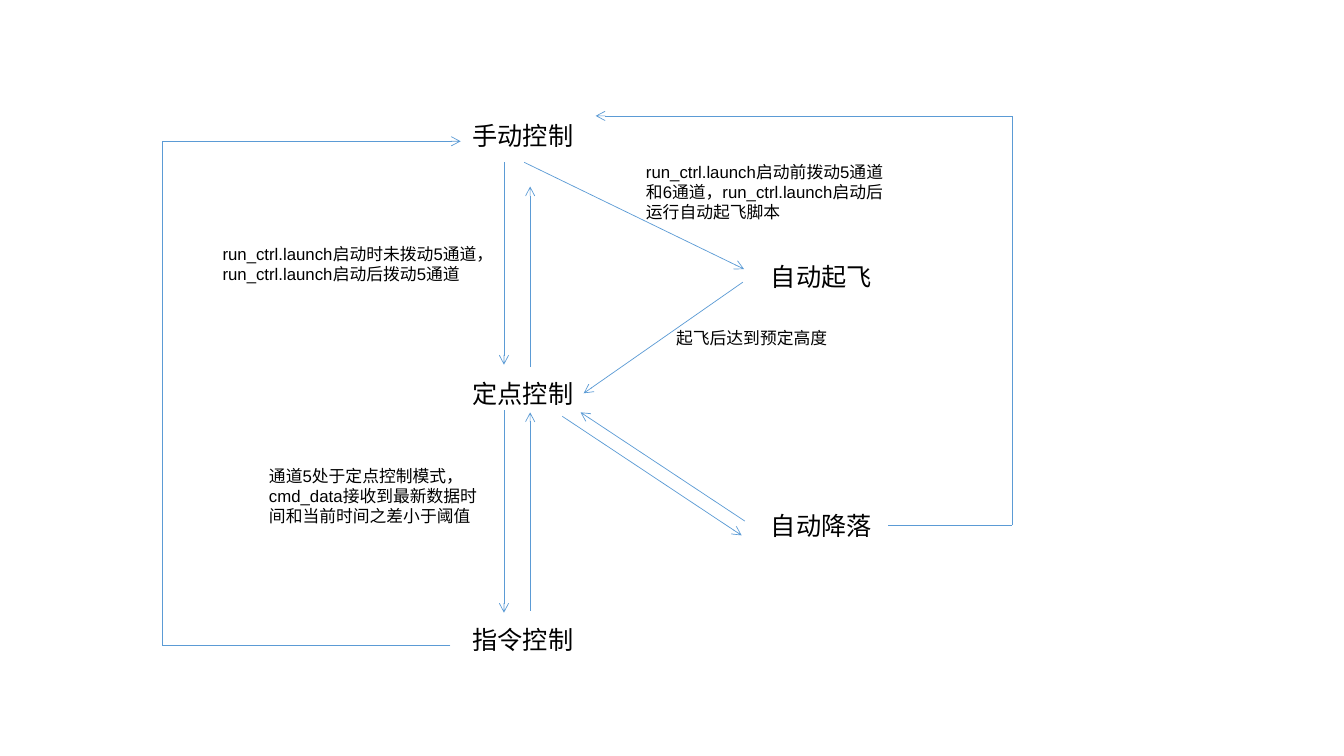
from itertools import pairwise

from lxml.etree import SubElement
from pptx import Presentation
from pptx.dml.color import RGBColor
from pptx.enum.shapes import MSO_CONNECTOR as CONN
from pptx.enum.text import MSO_AUTO_SIZE as AUTO
from pptx.oxml.ns import qn
from pptx.util import Cm, Pt

COLORS = {"text": "000000", "line": "5B9BD5"}
FONT = "Arial"


class Diagram:
    """Holds the style and the current slide."""

    def __init__(self, slide):
        self.s = slide

    def text(self, x, y, w, h, text, size):
        sp = self.s.shapes.add_textbox(Cm(x), Cm(y), Cm(w), Cm(h))
        tf = sp.text_frame
        tf.word_wrap = True
        tf.auto_size = AUTO.SHAPE_TO_FIT_TEXT
        tf.text = text
        font = tf.paragraphs[0].font
        font.name, font.size = FONT, Pt(size)
        font.color.rgb = RGBColor.from_string(COLORS["text"])

    def state(self, x, y, name):
        self.text(x, y, 3.43, 1.02, name, 18)

    def note(self, x, y, w, h, text):
        self.text(x, y, w, h, text, 12)

    def line(self, start, end, arrow=True):
        x1, y1, x2, y2 = (Cm(v) for v in (*start, *end))
        c = self.s.shapes.add_connector(CONN.STRAIGHT, x1, y1, x2, y2)
        c.line.color.rgb = RGBColor.from_string(COLORS["line"])
        c.line.width = Pt(0.5)
        if arrow:
            SubElement(c.line._get_or_add_ln(), qn("a:tailEnd"), type="arrow")
        SubElement(c._element.spPr, qn("a:effectLst"))

    def route(self, *points):
        """Chain of straight lines with an arrowhead on the last one."""
        for start, end in pairwise(points):
            self.line(start, end, arrow=end == points[-1])


prs = Presentation()
prs.slide_width, prs.slide_height = Cm(33.87), Cm(19.05)
d = Diagram(prs.slides.add_slide(prs.slide_layouts[6]))

# Control states: main column, then automatic modes
MAIN_X, AUTO_X = 11.66, 19.18
for x, y, name in [
    (MAIN_X, 2.9, "手动控制"),
    (MAIN_X, 9.4, "定点控制"),
    (MAIN_X, 15.6, "指令控制"),
    (AUTO_X, 6.45, "自动起飞"),
    (AUTO_X, 12.73, "自动降落"),
]:
    d.state(x, y, name)

# Transitions down and up the main column
DOWN_X, UP_X = 12.7, 13.36
for x, y1, y2 in [
    (DOWN_X, 4.09, 9.19),
    (DOWN_X, 10.34, 15.44),
    (UP_X, 9.25, 4.7),
    (UP_X, 15.39, 10.39),
]:
    d.line((x, y1), (x, y2))

# Transitions to and from the automatic modes
for start, end in [
    ((13.21, 4.09), (18.75, 6.78)),
    ((18.72, 7.11), (14.71, 9.91)),
    ((14.17, 10.49), (18.69, 13.49)),
    ((18.77, 13.13), (14.63, 10.39)),
]:
    d.line(start, end)

# Outer returns to manual control
LEFT_X, RIGHT_X = 4.09, 25.5
d.route((11.35, 16.26), (LEFT_X, 16.26), (LEFT_X, 3.56), (11.61, 3.56))
d.route((22.38, 13.23), (RIGHT_X, 13.23), (RIGHT_X, 2.92), (15.01, 2.92))

# Transition conditions
d.note(5.36, 6.02, 7.37, 1.27,
       "run_ctrl.launch启动时未拨动5通道，run_ctrl.launch启动后拨动5通道")
d.note(16.03, 3.94, 6.58, 1.8,
       "run_ctrl.launch启动前拨动5通道和6通道，run_ctrl.launch启动后运行自动起飞脚本")
d.note(16.79, 8.13, 4.6, 0.76, "起飞后达到预定高度")
d.note(6.53, 11.61, 5.97, 1.8,
       "通道5处于定点控制模式，cmd_data接收到最新数据时间和当前时间之差小于阈值")

prs.save("out.pptx")
